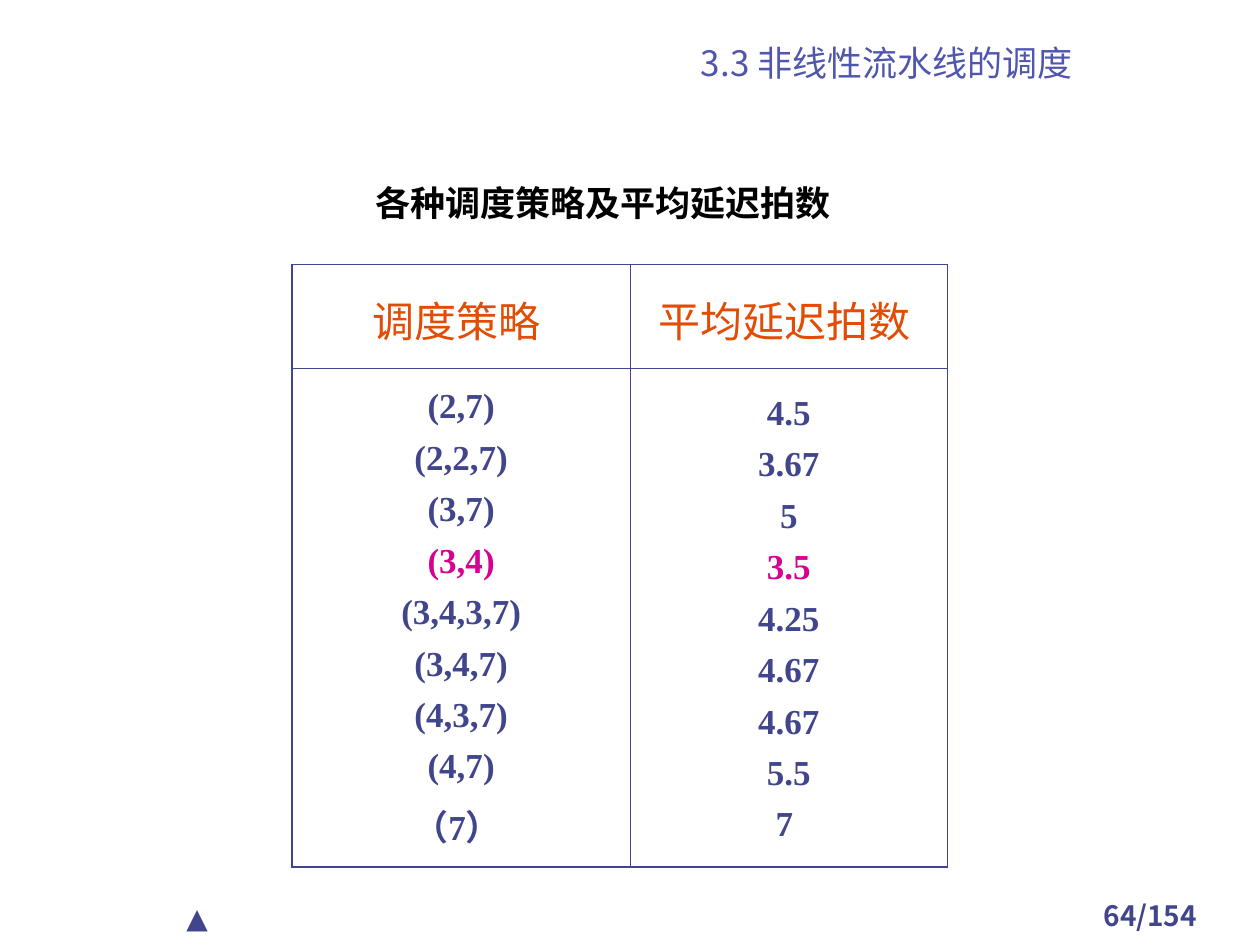
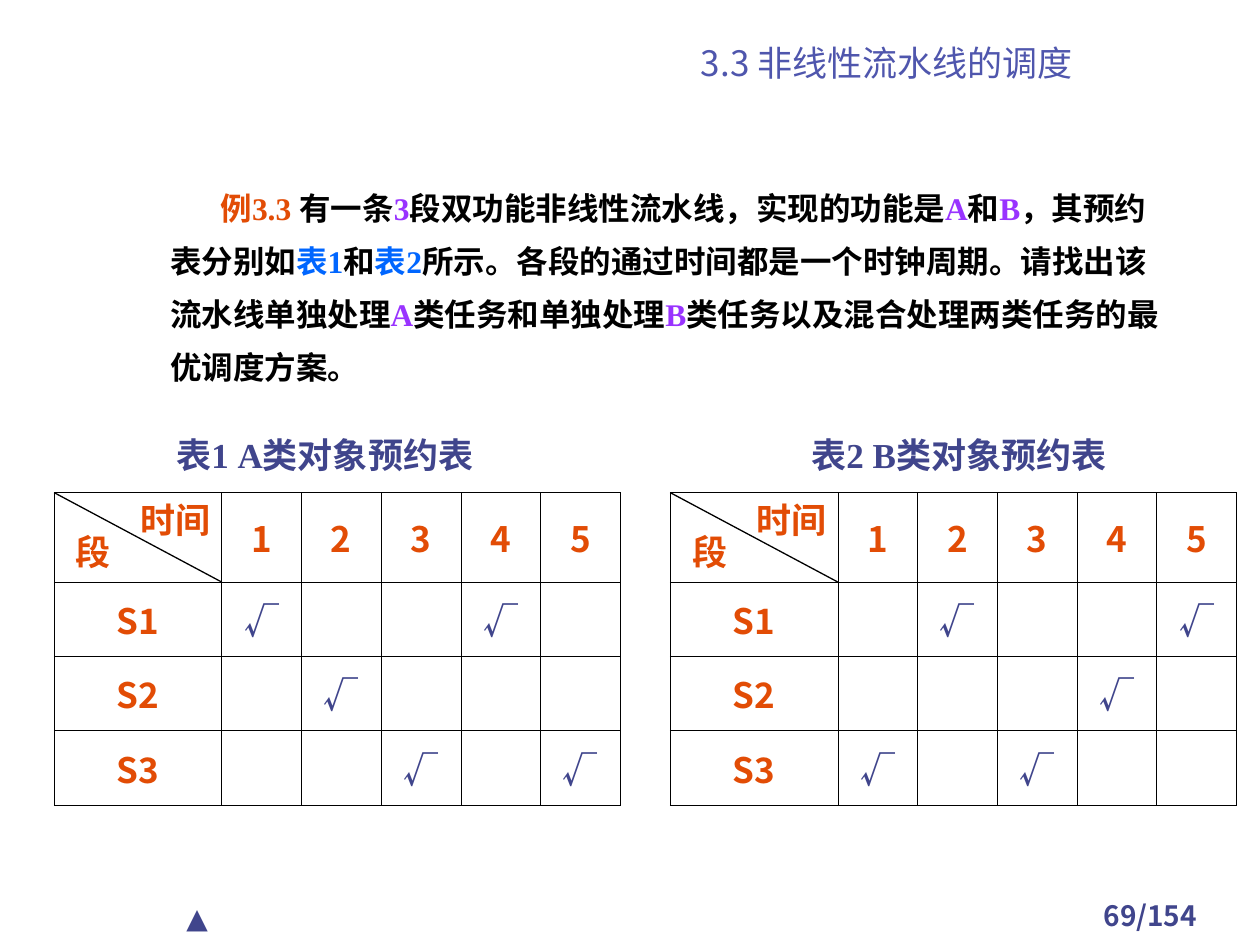
from lxml.etree import SubElement
from pptx import Presentation
from pptx.dml.color import RGBColor
from pptx.enum.shapes import MSO_CONNECTOR
from pptx.enum.text import MSO_ANCHOR as Anchor, MSO_AUTO_SIZE as AutoSize, PP_ALIGN as Align
from pptx.oxml import parse_xml
from pptx.oxml.ns import nsdecls, qn
from pptx.util import Inches, Pt

COLOURS = {
    "title": "4F56AD", "navy": "40458C", "orange": "E24C05", "magenta": "D60093",
    "violet": "9933FF", "blue": "0066FF", "black": "000000",
}
SANS, ROUND, SERIF = "Noto Sans CJK SC", "Cabin", "Times New Roman"
COLUMNS, ROWS = 100, 75
PAGE_TOTAL = 154
SECTION = "3.3 非线性流水线的调度"

FRAME = {"margin_left": Inches(0.1), "margin_right": Inches(0.1),
         "margin_top": Inches(0.05), "margin_bottom": Inches(0.05)}
LISTED = {"line_spacing": 1.1, "space_before": Pt(5)}

STRATEGIES = [
    ("(2,7)", "4.5"), ("(2,2,7)", "3.67"), ("(3,7)", "5"), ("(3,4)", "3.5"),
    ("(3,4,3,7)", "4.25"), ("(3,4,7)", "4.67"), ("(4,3,7)", "4.67"),
    ("(4,7)", "5.5"), ("（7） ", "7 "),
]
BEST = 3

EXAMPLE = [
    ("例3.3 ", "orange"), ("有一条", "black"), ("3", "violet"),
    ("段双功能非线性流水线，实现的功能是", "black"), ("A", "violet"), ("和", "black"),
    ("B", "violet"), ("，其预约表分别如", "black"), ("表1", "blue"), ("和", "black"),
    ("表2", "blue"), ("所示。各段的通过时间都是一个时钟周期。请找出该流水线单独处理", "black"),
    ("A", "violet"), ("类任务和单独处理", "black"), ("B", "violet"),
    ("类任务以及混合处理两类任务的最优调度方案。", "black"),
]

# Stages S1 to S3, each with the clock times at which it is reserved
RESERVATIONS_A = [{1, 4}, {2}, {3, 5}]
RESERVATIONS_B = [{2, 5}, {4}, {1, 3}]


def apply(target, values):
    for name, value in values.items():
        setattr(target, name, value)


class Deck:
    """Holds the shared style and the current slide; lengths are grid columns and rows."""

    def __init__(self):
        self.prs = Presentation()
        self.prs.slide_width, self.prs.slide_height = Inches(10), Inches(7.5)
        self.slide = None

    def x(self, columns):
        return round(self.prs.slide_width * columns / COLUMNS)

    def y(self, rows):
        return round(self.prs.slide_height * rows / ROWS)

    def area(self, left, top, wide, high):
        return self.x(left), self.y(top), self.x(wide), self.y(high)

    def new_slide(self, layout, page):
        self.slide = self.prs.slides.add_slide(self.prs.slide_layouts[layout])
        title = self.slide.shapes.title
        self.move(title, 42.5, 2.7, 55.8, 4.2)
        apply(title.text_frame, FRAME | {
            "margin_top": 0, "margin_bottom": Inches(0.03), "word_wrap": True,
            "vertical_anchor": Anchor.BOTTOM, "auto_size": AutoSize.NONE})
        self.add_pieces(title.text_frame.paragraphs[0], [(SECTION, "title")], 20, SANS,
                        bold=False, alignment=Align.CENTER)
        self.label(f"{page}/{PAGE_TOTAL}", (84.2, 70.8, 14.2, 3.3), 16, SANS,
                   grow=False, alignment=Align.CENTER)
        self.label("▲", (13.8, 71, 14.2, 3.7), 16, ROUND, bold=False)

    def move(self, shape, *place):
        apply(shape, dict(zip(("left", "top", "width", "height"), self.area(*place))))

    def add_pieces(self, paragraph, pieces, size, face, bold=True, **layout):
        """Fill a paragraph with (text, colour) pieces."""
        apply(paragraph, layout)
        for text, colour in pieces:
            run = paragraph.add_run()
            run.text = text
            apply(run.font, {"size": Pt(size), "name": face, "bold": bold})
            run.font.color.rgb = RGBColor.from_string(COLOURS[colour])
            SubElement(run.font._element, qn("a:ea"), typeface=SANS)

    def label(self, text, place, size, face, colour="navy", bold=True, grow=True, **layout):
        frame = self.slide.shapes.add_textbox(*self.area(*place)).text_frame
        apply(frame, FRAME | {
            "word_wrap": True,
            "auto_size": AutoSize.SHAPE_TO_FIT_TEXT if grow else AutoSize.NONE})
        self.add_pieces(frame.paragraphs[0], [(text, colour)], size, face, bold, **layout)

    def body(self, pieces, place):
        shape = self.slide.placeholders[1]
        self.move(shape, *place)
        apply(shape.text_frame, FRAME | {"word_wrap": True, "auto_size": AutoSize.NONE})
        paragraph = shape.text_frame.paragraphs[0]
        self.add_pieces(paragraph, pieces, 18, SERIF, line_spacing=1.4, space_before=Pt(4.5))
        properties = paragraph._p.get_or_add_pPr()
        properties.set("marL", str(Inches(0.5)))
        properties.set("indent", str(Inches(0.4)))
        SubElement(properties, qn("a:buNone"))

    def table(self, left, top, widths, heights):
        """Add a plain table without style bands."""
        place = self.area(left, top, sum(widths), sum(heights))
        grid = self.slide.shapes.add_table(len(heights), len(widths), *place).table
        apply(grid, {"first_row": False, "horz_banding": False})
        for column, wide in zip(grid.columns, widths):
            column.width = self.x(wide)
        for row, high in zip(grid.rows, heights):
            row.height = self.y(high)
        for cell in grid.iter_cells():
            apply(cell, FRAME | {"vertical_anchor": Anchor.MIDDLE})
            cell.fill.background()
        return grid

    def rule(self, grid, colour, inner, outer):
        """Draw cell borders, with one weight inside and one around the table."""
        last_row, last_column = len(grid.rows) - 1, len(grid.columns) - 1
        for r, row in enumerate(grid.rows):
            for c, cell in enumerate(row.cells):
                edges = {"L": c == 0, "R": c == last_column, "T": r == 0, "B": r == last_row}
                for order, (side, on_edge) in enumerate(edges.items()):
                    weight = Pt(outer if on_edge else inner)
                    cell._tc.get_or_add_tcPr().insert(order, parse_xml(
                        f'<a:ln{side} {nsdecls("a")} w="{weight}"><a:solidFill>'
                        f'<a:srgbClr val="{COLOURS[colour]}"/></a:solidFill></a:ln{side}>'))

    def cell(self, cell, lines, size, face, bold=True, **layout):
        """Put one centred paragraph in the cell for each (text, colour) line."""
        for number, line in enumerate(lines):
            frame = cell.text_frame
            paragraph = frame.add_paragraph() if number else frame.paragraphs[0]
            self.add_pieces(paragraph, [line], size, face, bold,
                            alignment=Align.CENTER, **layout)

    def line(self, left, top, right, bottom):
        diagonal = self.slide.shapes.add_connector(
            MSO_CONNECTOR.STRAIGHT, self.x(left), self.y(top), self.x(right), self.y(bottom))
        diagonal.line.color.rgb = RGBColor.from_string(COLOURS["black"])
        diagonal.line.width = Pt(0.75)
        SubElement(diagonal._element.spPr, qn("a:effectLst"))

    def reservation_table(self, left, caption, caption_left, reservations):
        top, stage_wide, time_wide, head_high, stage_high = 39.1, 13.3, 6.33, 7.1, 5.9
        grid = self.table(left, top, [stage_wide] + [time_wide] * 5,
                          [head_high] + [stage_high] * len(reservations))
        for time in range(1, 6):
            self.cell(grid.cell(0, time), [(str(time), "orange")], 20, SANS)
        for stage, times in enumerate(reservations, 1):
            self.cell(grid.cell(stage, 0), [(f"S{stage}", "orange")], 20, SANS)
            for time in times:
                self.cell(grid.cell(stage, time), [("√", "navy")], 20, SANS)
        self.rule(grid, "black", 0.45, 0.45)
        self.line(left, top, left + stage_wide, top + head_high)
        self.label("时间", (left + 5.85, top, 10.2, 4.4), 20, ROUND, "orange")
        self.label("段", (left + 0.75, top + 2.5, 7.6, 4.4), 20, ROUND, "orange")
        self.label(caption, (caption_left, 33.9, 29.1, 4.4), 20, SERIF)


def strategy_slide(deck):
    deck.new_slide(5, 64)
    grid = deck.table(23.2, 21, [26.8, 25.2], [8.2, 39.6])
    for column, heading in enumerate(("调度策略 ", "平均延迟拍数 ")):
        deck.cell(grid.cell(0, column), [(heading, "orange")], 24, ROUND, bold=False, **LISTED)
        lines = [(row[column], "magenta" if number == BEST else "navy")
                 for number, row in enumerate(STRATEGIES)]
        deck.cell(grid.cell(1, column), lines, 20, SERIF, **LISTED)
    deck.rule(grid, "navy", 0.45, 1.08)
    deck.label("各种调度策略及平均延迟拍数", (28.8, 13.9, 42.5, 5), 20, ROUND, "black")


def example_slide(deck):
    deck.new_slide(1, 69)
    deck.body(EXAMPLE, (7.5, 13.3, 85.8, 18.6))
    deck.reservation_table(4.3, "表1 A类对象预约表", 13, RESERVATIONS_A)
    deck.reservation_table(53.2, "表2 B类对象预约表", 63.4, RESERVATIONS_B)


def main():
    deck = Deck()
    strategy_slide(deck)
    example_slide(deck)
    deck.prs.save("out.pptx")


if __name__ == "__main__":
    main()
